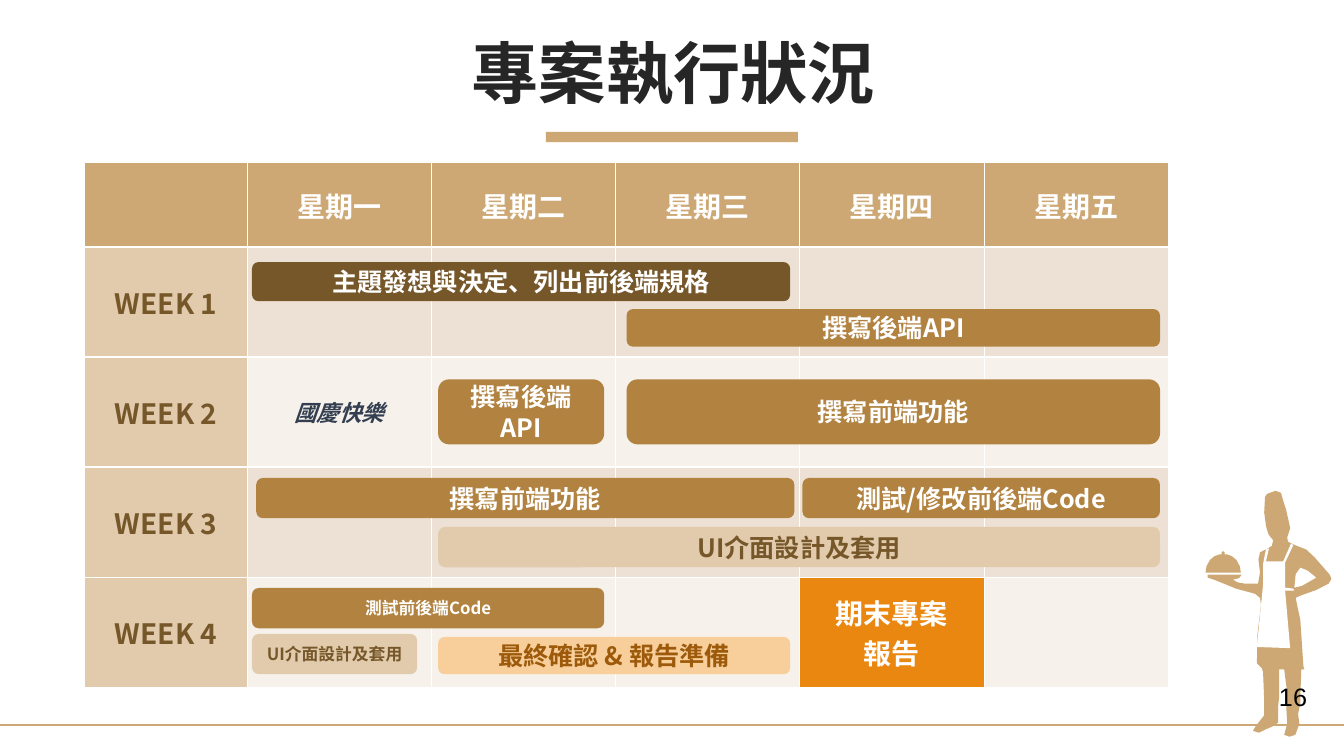
"""Build the project status slide: a weekly schedule table with task bars."""
from lxml import etree
from pptx import Presentation
from pptx.dml.color import RGBColor
from pptx.enum import shapes, text
from pptx.oxml import ns
from pptx.util import Pt

FONT = "Noto Sans CJK SC"
COLORS = {
    "tan": "CDA874", "sand": "E1CBAC", "brown": "76572A", "bronze": "B18240",
    "band": "EDE1D6", "pale": "F6F1EB", "orange": "EA8710", "peach": "F8CE9B",
    "rust": "9C5A0A", "slate": "333F50", "ink": "262626", "white": "FFFFFF", "black": "000000",
}
TITLE = "專案執行狀況"
PAGE_NUMBER = "16"
SCHEDULE = [
    ["", "星期一", "星期二", "星期三", "星期四", "星期五"],
    ["WEEK 1", "", "", "", "", ""],
    ["WEEK 2", "國慶快樂", "", "", "", ""],
    ["WEEK 3", "", "", "", "", ""],
    ["WEEK 4", "", "", "", "期末專案\v報告", ""],
]
HOLIDAY, DEADLINE = (2, 1), (4, 4)
TABLE_LEFT, TABLE_TOP = 60.6, 116.2
WEEK_WIDTH, DAY_WIDTH = 116, 131.6
HEADER_HEIGHT, WEEK_HEIGHT = 60.3, 78.6

# left, right, top, height, fill, font colour, size
BARS = [
    ("主題發想與決定、列出前後端規格", 180, 564.4, 187.2, 28, "brown", "white", 18),
    ("撰寫後端API", 447.6, 828.6, 220.8, 26.8, "bronze", "white", 18),
    ("撰寫後端API", 313, 431.6, 271, 46.4, "bronze", "white", 18),
    ("最終確認 & 報告準備", 313, 564.4, 455, 26.6, "peach", "rust", 18),
    ("撰寫前端功能", 447.6, 828.6, 271, 46.4, "bronze", "white", 18),
    ("撰寫前端功能", 183, 567.4, 341.4, 28.8, "bronze", "white", 18),
    ("UI介面設計及套用", 313, 828.6, 376.4, 28.8, "sand", "brown", 18),
    ("測試/修改前後端Code", 573.2, 828.6, 341.4, 28.8, "bronze", "white", 18),
    ("測試前後端Code", 180, 431.6, 420, 28.8, "bronze", "white", 12),
    ("UI介面設計及套用", 180, 298, 452.8, 28.8, "sand", "brown", 12),
]

WAITER_ORIGIN = (860, 350)
BODY = [
    (2.6, 60.4), (27, 60.4), (25, 63), (20.6, 64), (24, 66), (29.2, 66.9), (38.6, 66.9),
    (40, 59), (38.9, 49.8), (40, 44.5), (44.3, 42.4), (48.5, 40), (49.4, 35.9), (46.5, 32.3),
    (45.8, 30.9), (44.3, 25.8), (43, 16), (43.6, 5), (45, 2.8), (51, 0.6), (55, 2),
    (56.6, 7.8), (58.7, 14.3), (61.6, 27.3), (59.4, 33.8), (60, 37), (65.2, 39.5),
    (73, 42.5), (78.9, 48), (89.7, 60.4), (91, 63.5), (89, 66.9), (80, 71.5), (68.8, 75.5),
    (65.5, 77), (66.6, 82.7), (68.8, 92.8), (71, 125.9), (71.7, 128.1), (69.5, 128.1),
    (68.8, 148.2), (68.8, 152.6), (67.2, 160), (68.1, 167), (65.2, 174.9), (61, 176.2),
    (57.3, 174.9), (59.4, 167), (58.7, 153.3), (59.4, 144.6), (57.3, 128.1), (53.7, 128.1),
    (53.7, 147.5), (53, 154), (53, 166.2), (48.6, 169.1), (44, 171), (39.3, 173.4),
    (35, 172), (37.1, 168.4), (43, 161), (42.9, 147.5), (42.2, 130.2), (41.4, 127.4),
    (37.8, 123.8), (38.2, 103), (40.7, 82), (40, 77), (36.4, 74.1), (23, 70.5),
    (10.5, 65.4), (6.9, 64), (2.6, 62.6),
]
ARM_GAP = [(64.5, 69.8), (70, 68.5), (80.3, 62.6), (74, 57.5), (68.8, 55.4), (65.5, 60)]
APRON = [
    (62.3, 38.1), (56.6, 51), (44.3, 51), (46.5, 41.7), (44.3, 42.4), (42.2, 53.2),
    (42.2, 68.3), (40, 90), (37.8, 112.2), (61.6, 113), (58, 71.9), (64.5, 71.9),
    (63.8, 70.5), (58, 69.8), (58, 51.8), (63.8, 39.5),
]
DOME = [
    (1.1, 59), (1.8, 54.5), (4.3, 50), (7.5, 47.3), (11.2, 46), (12.6, 46), (12.6, 44.6),
    (13.3, 43.8), (14.1, 43.8), (14.8, 44.6), (14.8, 46), (16.2, 46), (19.9, 47.3),
    (23.1, 50), (25.6, 54.5), (26.3, 59),
]


def color(name):
    return RGBColor.from_string(COLORS[name])


def style(frame, size, ink, font=FONT, bold=True, italic=False, align=text.PP_ALIGN.CENTER):
    for para in frame.paragraphs:
        para.alignment = align
        for span in para.runs:
            span.font.size, span.font.name = Pt(size), font
            span.font.bold, span.font.italic = bold, italic
            span.font.color.rgb = color(ink)
            east = etree.SubElement(span.font._element, ns.qn("a:ea"))
            east.set("typeface", font)


def paint(shape, fill):
    shape.shadow.inherit = False
    shape.fill.solid()
    shape.fill.fore_color.rgb = color(fill)
    shape.line.fill.background()


def add_block(page, kind, left, top, width, height, fill):
    block = page.shapes.add_shape(kind, Pt(left), Pt(top), Pt(width), Pt(height))
    paint(block, fill)
    return block


def add_outline(page, fill, *contours):
    def tenths(points):
        return [(round(x * 10), round(y * 10)) for x, y in points]

    first, *others = [tenths(points) for points in contours]
    builder = page.shapes.build_freeform(*first[0], scale=Pt(0.1))
    builder.add_line_segments(first[1:], close=True)
    for points in others:
        builder.move_to(*points[0])
        builder.add_line_segments(points[1:], close=True)
    left, top = WAITER_ORIGIN
    paint(builder.convert_to_shape(Pt(left), Pt(top)), fill)


def add_title(page):
    title = page.shapes.title
    title.left, title.top, title.width, title.height = Pt(25.2), Pt(26.6), Pt(911.6), Pt(57)
    frame = title.text_frame
    frame.text = TITLE
    frame.auto_size = text.MSO_AUTO_SIZE.NONE
    frame.vertical_anchor = text.MSO_ANCHOR.MIDDLE
    frame.paragraphs[0].line_spacing = 0.9
    frame.paragraphs[0].space_before = Pt(10)
    style(frame, 48, "ink")


def cell_look(row, column):
    if row == 0:
        return "tan", "white", 20
    if column == 0:
        return "sand", "brown", 20
    if (row, column) == DEADLINE:
        return "orange", "white", 20
    return ("band" if row % 2 else "pale"), "slate", 16


def add_schedule(page):
    rows, columns = len(SCHEDULE), len(SCHEDULE[0])
    widths = [WEEK_WIDTH] + [DAY_WIDTH] * (columns - 1)
    heights = [HEADER_HEIGHT] + [WEEK_HEIGHT] * (rows - 1)
    table = page.shapes.add_table(rows, columns, Pt(TABLE_LEFT), Pt(TABLE_TOP),
                                  Pt(sum(widths)), Pt(sum(heights))).table
    for column, width in zip(table.columns, widths):
        column.width = Pt(width)
    for row, height in zip(table.rows, heights):
        row.height = Pt(height)
    for r, labels in enumerate(SCHEDULE):
        for c, label in enumerate(labels):
            cell = table.cell(r, c)
            fill, ink, size = cell_look(r, c)
            cell.fill.solid()
            cell.fill.fore_color.rgb = color(fill)
            cell.vertical_anchor = text.MSO_ANCHOR.MIDDLE
            cell.margin_left = cell.margin_right = Pt(8.6)
            cell.margin_top = cell.margin_bottom = Pt(4.3)
            if label:
                cell.text_frame.paragraphs[0].text = label
                style(cell.text_frame, size, ink, italic=(r, c) == HOLIDAY)


def add_bars(page):
    for label, left, right, top, height, fill, ink, size in BARS:
        bar = add_block(page, shapes.MSO_SHAPE.ROUNDED_RECTANGLE, left, top, right - left, height, fill)
        bar.text_frame.text = label
        bar.text_frame.word_wrap = True
        bar.text_frame.vertical_anchor = text.MSO_ANCHOR.MIDDLE
        style(bar.text_frame, size, ink)


def main():
    deck = Presentation()
    deck.slide_width, deck.slide_height = Pt(960), Pt(540)
    page = deck.slides.add_slide(deck.slide_layouts[5])
    add_block(page, shapes.MSO_SHAPE.RECTANGLE, 390, 94.3, 180, 7.2, "tan")
    floor = page.shapes.add_connector(shapes.MSO_CONNECTOR.STRAIGHT, 0, Pt(518), Pt(960), Pt(518))
    floor.line.color.rgb, floor.line.width = color("tan"), Pt(1.5)
    etree.SubElement(floor._element.spPr, ns.qn("a:effectLst"))
    add_outline(page, "tan", BODY, ARM_GAP)
    add_outline(page, "white", APRON)
    add_outline(page, "tan", DOME)
    add_title(page)
    add_schedule(page)
    add_bars(page)
    number = page.shapes.add_textbox(Pt(906.5), Pt(483.4), Pt(34.6), Pt(29))
    number.text_frame.text = PAGE_NUMBER
    number.text_frame.word_wrap = False
    style(number.text_frame, 18, "black", font="Arial", bold=False, align=text.PP_ALIGN.LEFT)
    deck.save("out.pptx")


if __name__ == "__main__":
    main()
